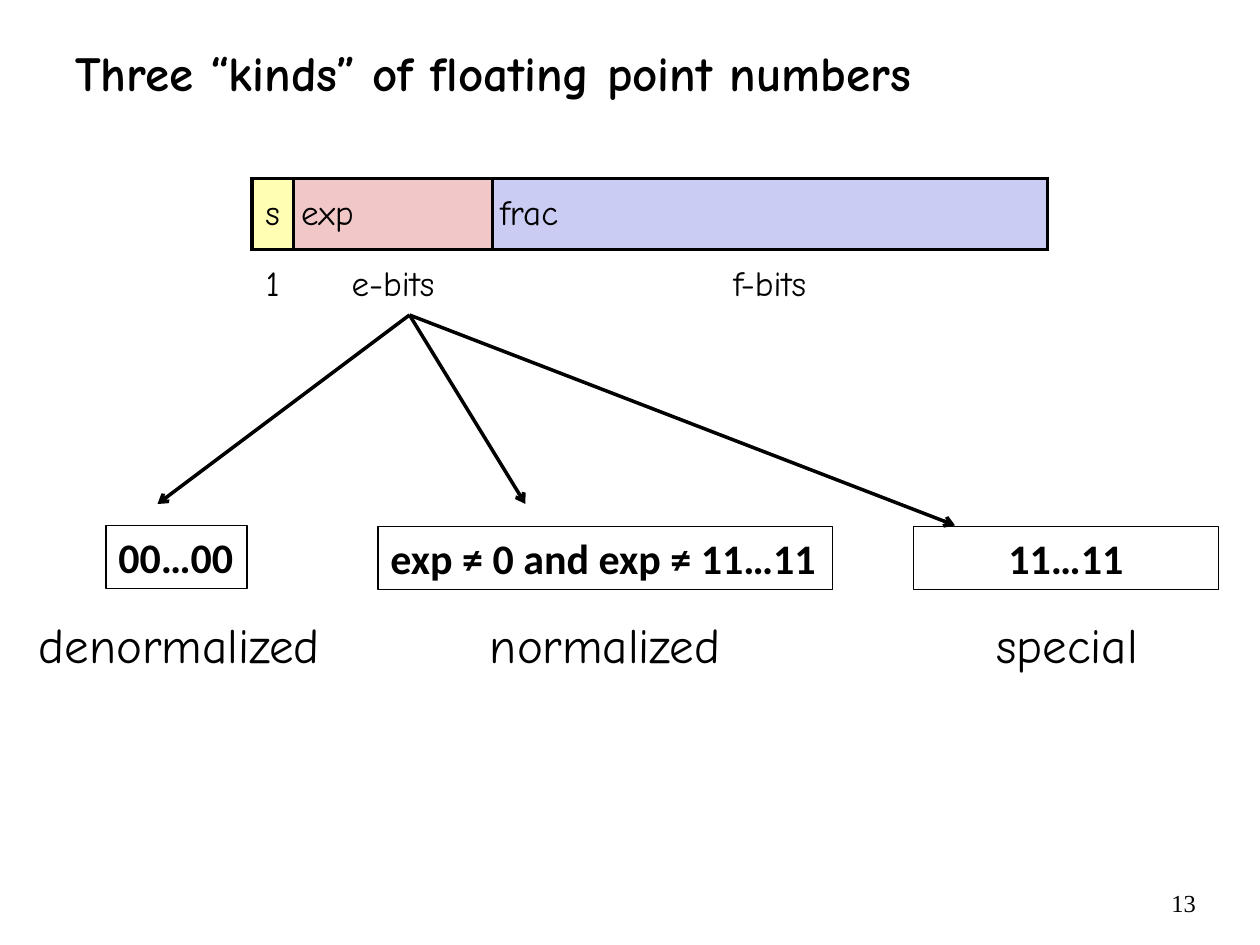
from dataclasses import dataclass

from lxml.etree import SubElement
from pptx import Presentation
from pptx.dml.color import RGBColor
from pptx.enum.shapes import MSO_CONNECTOR, MSO_SHAPE
from pptx.enum.text import MSO_ANCHOR, MSO_AUTO_SIZE, PP_ALIGN
from pptx.oxml import parse_xml
from pptx.oxml.ns import nsdecls, qn
from pptx.util import Inches, Pt


@dataclass(frozen=True)
class Theme:
    """Colours, fonts and type sizes of the slide."""
    ink: str = "000000"
    sign: str = "FFFEB2"
    exponent: str = "F1C7C7"
    fraction: str = "CBCCF3"
    hand: str = "Comic Neue"
    pattern_font: str = "Calibri"
    number_font: str = "Times New Roman"
    heading: int = 28
    pattern: int = 24
    field: int = 20
    number: int = 14


THEME = Theme()


def rgb(value):
    """Turn a hex string into a colour."""
    return RGBColor.from_string(value)


def apply_format(target, values):
    """Set every attribute named in a dict of format values."""
    for name, value in values.items():
        setattr(target, name, value)


def write(frame, text, size, font=THEME.hand, bold=False, align=PP_ALIGN.LEFT):
    """Put one formatted paragraph into a text frame."""
    paragraph = frame.paragraphs[0]
    paragraph.alignment = align
    run = paragraph.add_run()
    run.text = text
    apply_format(run.font, {"name": font, "size": Pt(size), "bold": bold})
    run.font.color.rgb = rgb(THEME.ink)


def add_label(slide, text, box, size, frame_format, **style):
    """Add a plain text box."""
    label = slide.shapes.add_textbox(*map(Inches, box))
    apply_format(label.text_frame, frame_format)
    write(label.text_frame, text, size, **style)


def add_pattern(slide, text, box, wrap):
    """Add an outlined box that holds a bit pattern."""
    pattern = slide.shapes.add_shape(MSO_SHAPE.RECTANGLE, *map(Inches, box))
    pattern.shadow.inherit = False
    pattern.fill.background()
    pattern.line.color.rgb = rgb(THEME.ink)
    pattern.line.width = Pt(0.75)
    apply_format(pattern.text_frame, {
        "word_wrap": wrap,
        "auto_size": MSO_AUTO_SIZE.SHAPE_TO_FIT_TEXT,
        "vertical_anchor": MSO_ANCHOR.TOP,
    })
    write(pattern.text_frame, text, THEME.pattern, THEME.pattern_font, True,
          PP_ALIGN.CENTER if wrap else PP_ALIGN.LEFT)


def add_arrow(slide, start, end):
    """Add a straight arrow between two points."""
    arrow = slide.shapes.add_connector(
        MSO_CONNECTOR.STRAIGHT, *map(Inches, (*start, *end)))
    arrow.line.color.rgb = rgb(THEME.ink)
    arrow.line.width = Pt(2)
    SubElement(arrow.line._get_or_add_ln(), qn("a:tailEnd"), type="arrow")
    SubElement(arrow._element.spPr, qn("a:effectLst"))


def set_borders(cell, visible_sides):
    """Draw the named cell sides and clear the others."""
    solid = f'<a:solidFill><a:srgbClr val="{THEME.ink}"/></a:solidFill>'
    for position, side in enumerate("LRTB"):
        paint = solid if side in visible_sides else "<a:noFill/>"
        border = parse_xml(
            f'<a:ln{side} {nsdecls("a")} w="{Pt(2)}">{paint}</a:ln{side}>')
        cell._tc.get_or_add_tcPr().insert(position, border)


def add_bit_fields(slide):
    """Add the table of bit fields with their widths below."""
    fields = [
        ("s", "1", 0.33, THEME.sign, PP_ALIGN.CENTER),
        ("exp", "e-bits", 1.58, THEME.exponent, PP_ALIGN.LEFT),
        ("frac", "f-bits", 4.4, THEME.fraction, PP_ALIGN.LEFT),
    ]
    table = slide.shapes.add_table(
        2, len(fields), *map(Inches, (2, 1.42, 6.31, 1.12))).table
    apply_format(table, {"first_row": False, "horz_banding": False})
    margins = {f"margin_{side}": Inches(0.06)
               for side in ("left", "right", "top", "bottom")}
    for column, (name, bits, width, colour, align) in enumerate(fields):
        table.columns[column].width = Inches(width)
        rows = [(name, align, "LRTB"), (bits, PP_ALIGN.CENTER, "T")]
        for row, (text, alignment, sides) in enumerate(rows):
            cell = table.cell(row, column)
            apply_format(cell, {"vertical_anchor": MSO_ANCHOR.MIDDLE, **margins})
            write(cell.text_frame, text, THEME.field, align=alignment)
            cell.fill.background()
            set_borders(cell, sides)
        top_fill = table.cell(0, column).fill
        top_fill.solid()
        top_fill.fore_color.rgb = rgb(colour)


def add_kinds(slide):
    """Add the three kinds: arrow, bit pattern and name."""
    kinds = [
        ((1.25, 4), "00…00", (0.84, 4.17, 1.12, 0.5), False,
         "denormalized", 0.21, 2.63),
        ((4.17, 4), "exp ≠ 0 and exp ≠ 11…11", (3, 4.18, 3.61, 0.5), False,
         "normalized", 3.79, 2.19),
        ((7.58, 4.17), "11…11", (7.25, 4.18, 2.42, 0.5), True,
         "special", 7.81, 1.44),
    ]
    for tip, pattern, box, wrap, kind, left, width in kinds:
        add_arrow(slide, (3.25, 2.5), tip)
        add_pattern(slide, pattern, box, wrap)
        add_label(slide, kind, (left, 4.83, width, 0.57), THEME.heading,
                  {"word_wrap": True})


def main():
    """Build and save the slide."""
    deck = Presentation()
    apply_format(deck, {"slide_width": Inches(10), "slide_height": Inches(7.5)})
    slide = deck.slides.add_slide(deck.slide_layouts[6])
    add_label(slide, "Three “kinds” of floating point numbers",
              (0.5, 0.22, 9.08, 0.7), THEME.heading,
              {"word_wrap": True, "vertical_anchor": MSO_ANCHOR.MIDDLE}, bold=True)
    add_bit_fields(slide)
    add_kinds(slide)
    add_label(slide, "13", (8.17, 7, 1.42, 0.28), THEME.number,
              {"word_wrap": True}, font=THEME.number_font, align=PP_ALIGN.RIGHT)
    deck.save("out.pptx")


main()
